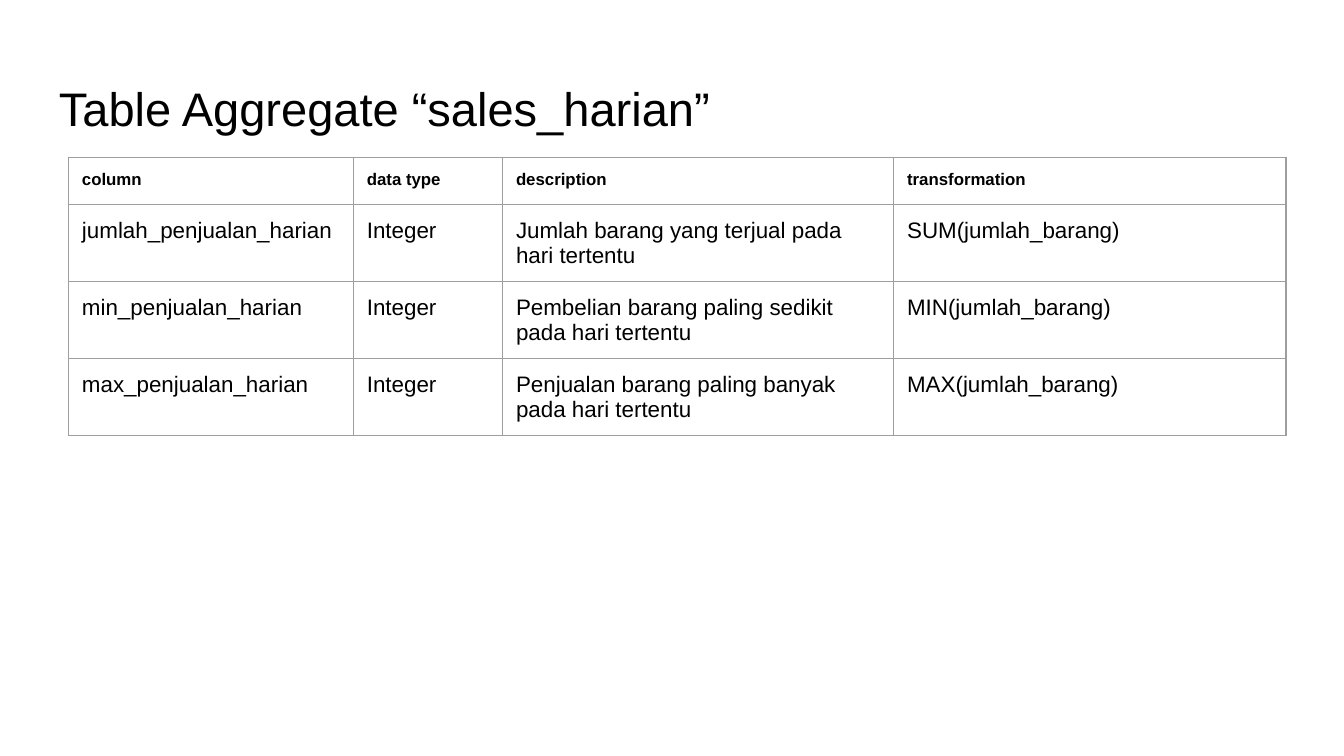
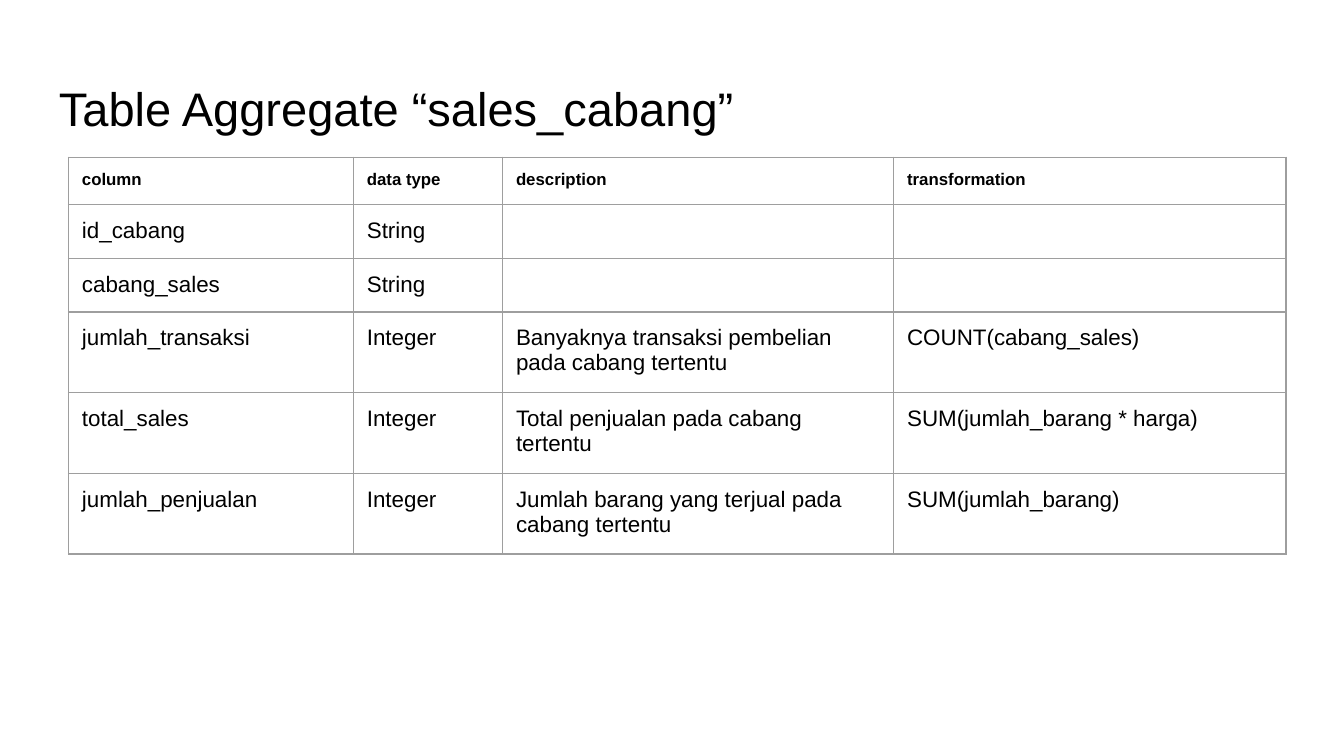
from lxml.etree import SubElement
from pptx import Presentation
from pptx.dml.color import RGBColor
from pptx.enum.text import MSO_ANCHOR
from pptx.oxml.ns import qn
from pptx.util import Inches, Pt

BLACK = RGBColor(0x00, 0x00, 0x00)
WHITE = RGBColor(0xFF, 0xFF, 0xFF)
GREY = RGBColor(0x9E, 0x9E, 0x9E)

SLIDE_WIDTH = Inches(10)
SLIDE_HEIGHT = SLIDE_WIDTH * 9 // 16

TITLE_FORMAT = {"name": "Arial", "size": Pt(25.2), "bold": False}
HEADER_FORMAT = {"name": "Arial", "size": Pt(9), "bold": True}
BODY_FORMAT = {"name": "Arial", "size": Pt(12), "bold": False}

INSET = Inches(0.1)
MARGINS = {f"margin_{side}": INSET for side in ("left", "top", "right", "bottom")}
COLUMN_WIDTHS = (2.12, 1.11, 2.91, 2.92)
ROW_HEIGHT = 0.35
HEADERS = ("column", "data type", "description", "transformation")

TABLES = {
    "sales_harian": (
        ("jumlah_penjualan_harian", "Integer",
         "Jumlah barang yang terjual pada hari tertentu", "SUM(jumlah_barang)"),
        ("min_penjualan_harian", "Integer",
         "Pembelian barang paling sedikit pada hari tertentu", "MIN(jumlah_barang)"),
        ("max_penjualan_harian", "Integer",
         "Penjualan barang paling banyak pada hari tertentu", "MAX(jumlah_barang)"),
    ),
    "sales_cabang": (
        ("id_cabang", "String", "", ""),
        ("cabang_sales", "String", "", ""),
        ("jumlah_transaksi", "Integer",
         "Banyaknya transaksi pembelian pada cabang tertentu", "COUNT(cabang_sales)"),
        ("total_sales", "Integer",
         "Total penjualan pada cabang tertentu", "SUM(jumlah_barang * harga)"),
        ("jumlah_penjualan", "Integer",
         "Jumlah barang yang terjual pada cabang tertentu", "SUM(jumlah_barang)"),
    ),
}


def set_attributes(target, values):
    """Set each named attribute of the target."""
    for name, value in values.items():
        setattr(target, name, value)


def write_text(para, text, text_format):
    """Write one formatted span, or only the end format when there is no text."""
    if not text:
        size = round(text_format["size"].pt * 100)
        end = SubElement(para._p, qn("a:endParaRPr"), sz=str(size))
        SubElement(end, qn("a:latin"), typeface=text_format["name"])
        return
    span = para.add_run()
    span.text = text
    set_attributes(span.font, text_format)
    span.font.color.rgb = BLACK


def add_borders(cell):
    """Draw a thin grey line on all four sides of a cell."""
    properties = cell._tc.get_or_add_tcPr()
    for side in ("lnL", "lnR", "lnT", "lnB"):
        line = SubElement(properties, qn(f"a:{side}"), w=str(Pt(0.75)))
        fill = SubElement(line, qn("a:solidFill"))
        SubElement(fill, qn("a:srgbClr"), val=str(GREY))


def add_column_table(page, rows):
    """Add the table that describes the columns of an aggregate."""
    rows = (HEADERS, *rows)
    frame = page.shapes.add_table(
        len(rows), len(HEADERS), Inches(0.51), Inches(1.17),
        Inches(sum(COLUMN_WIDTHS)), Inches(ROW_HEIGHT * len(rows)))
    table = frame.table
    set_attributes(table, {"first_row": False, "horz_banding": False})
    for column, width in zip(table.columns, COLUMN_WIDTHS):
        column.width = Inches(width)
    for row_index, row in enumerate(rows):
        table.rows[row_index].height = Inches(ROW_HEIGHT)
        text_format = BODY_FORMAT if row_index else HEADER_FORMAT
        for column_index, text in enumerate(row):
            cell = table.cell(row_index, column_index)
            set_attributes(cell, MARGINS)
            add_borders(cell)
            cell.fill.background()
            write_text(cell.text_frame.paragraphs[0], text, text_format)


def add_title(page, text):
    """Add the slide title."""
    box = page.shapes.add_textbox(Inches(0.34), Inches(0.49), Inches(9.32), Inches(0.63))
    frame = box.text_frame
    set_attributes(frame, {**MARGINS, "word_wrap": True,
                           "vertical_anchor": MSO_ANCHOR.MIDDLE})
    write_text(frame.paragraphs[0], text, TITLE_FORMAT)


def add_aggregate_page(deck, name, rows):
    """Add a white slide that documents one aggregate table."""
    page = deck.slides.add_slide(deck.slide_layouts[6])
    page.background.fill.solid()
    page.background.fill.fore_color.rgb = WHITE
    add_column_table(page, rows)
    add_title(page, f"Table Aggregate “{name}”")


def main():
    """Build and save the deck."""
    deck = Presentation()
    set_attributes(deck, {"slide_width": SLIDE_WIDTH, "slide_height": SLIDE_HEIGHT})
    for name, rows in TABLES.items():
        add_aggregate_page(deck, name, rows)
    deck.save("out.pptx")


if __name__ == "__main__":
    main()
